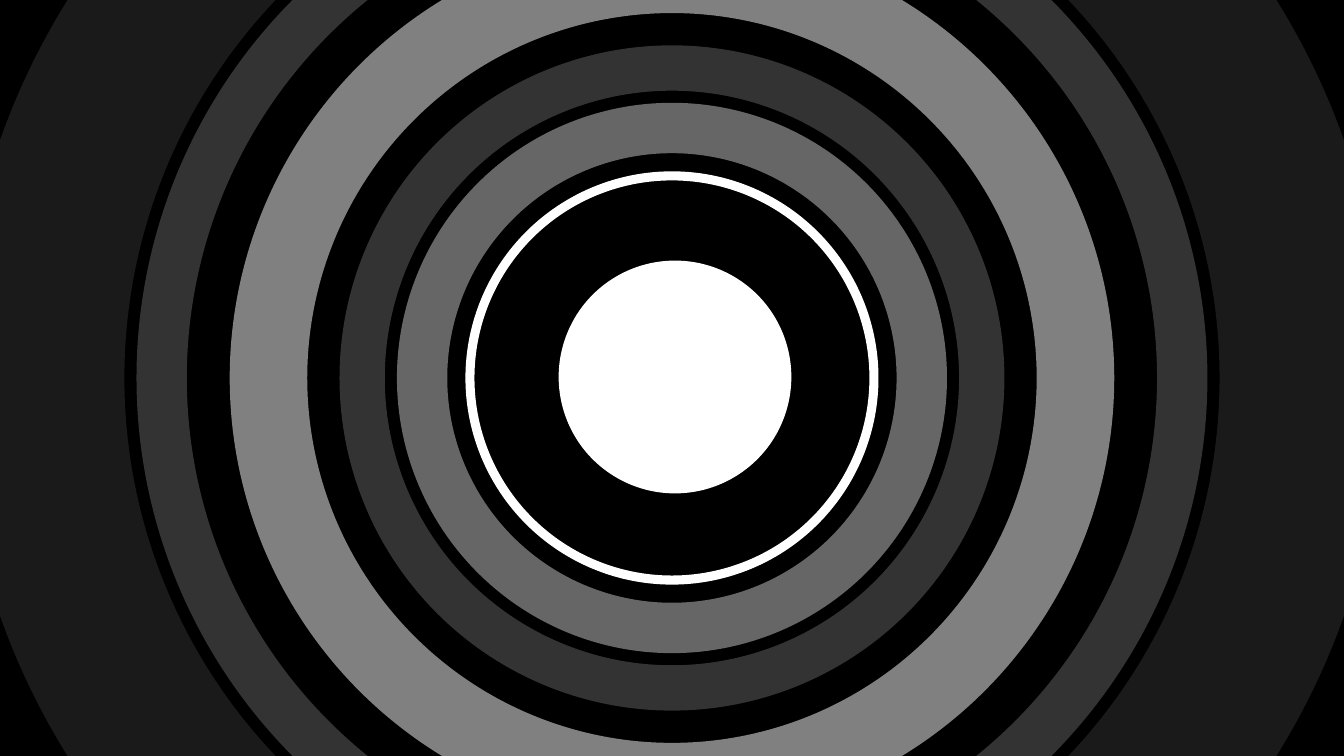
from typing import NamedTuple

from lxml import etree
from pptx import Presentation
from pptx import util as u
from pptx.dml.color import RGBColor
from pptx.enum import shapes
from pptx.oxml.ns import qn

COLORS = {"background": "000000", "light": "FFFFFF"}
SLIDE_WIDTH, SLIDE_HEIGHT = 13.34, 7.5
RINGS_CENTER = (SLIDE_WIDTH / 2, SLIDE_HEIGHT / 2)
DISC_CENTER = (6.7, 3.74)
DISC_DIAMETER = 2.31


class Ring(NamedTuple):
    diameter: float
    thickness: float
    opacity: int


RINGS = [
    Ring(4.1, 0.09, 100),
    Ring(5.46, 0.5, 40),
    Ring(6.6, 0.45, 20),
    Ring(8.78, 0.77, 50),
    Ring(10.63, 0.5, 20),
    Ring(14.15, 1.64, 10),
]


def add_round(slide, kind: shapes.MSO_SHAPE, center: tuple[float, float], diameter: float):
    left, top = (u.Inches(middle - diameter / 2) for middle in center)
    side = u.Inches(diameter)
    figure = slide.shapes.add_shape(kind, left, top, side, side)
    figure.shadow.inherit = False
    figure.line.fill.background()
    figure.fill.solid()
    figure.fill.fore_color.rgb = RGBColor.from_string(COLORS["light"])
    return figure


def add_ring(slide, ring: Ring) -> None:
    figure = add_round(slide, shapes.MSO_SHAPE.DONUT, RINGS_CENTER, ring.diameter)
    figure.adjustments[0] = ring.thickness / ring.diameter
    if ring.opacity < 100:
        color = figure.fill._xPr.find(qn("a:solidFill"))[0]
        etree.SubElement(color, qn("a:alpha"), val=str(ring.opacity * 1000))


def main() -> None:
    deck = Presentation()
    deck.slide_width = u.Inches(SLIDE_WIDTH)
    deck.slide_height = u.Inches(SLIDE_HEIGHT)
    slide = deck.slides.add_slide(deck.slide_layouts.get_by_name("Blank"))
    slide.background.fill.solid()
    slide.background.fill.fore_color.rgb = RGBColor.from_string(COLORS["background"])
    for ring in RINGS:
        add_ring(slide, ring)
    add_round(slide, shapes.MSO_SHAPE.OVAL, DISC_CENTER, DISC_DIAMETER)
    deck.save("out.pptx")


if __name__ == "__main__":
    main()
